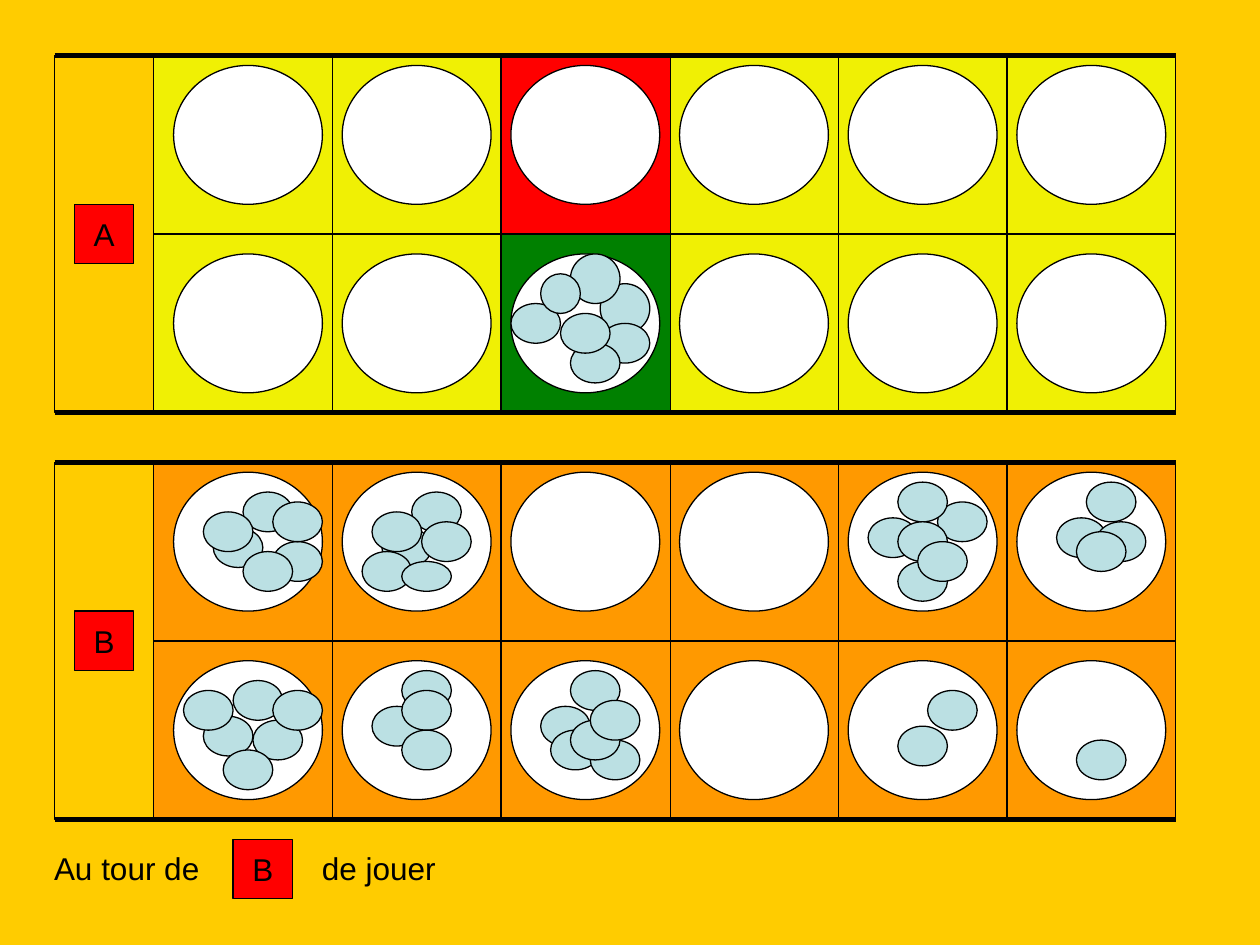
from lxml.etree import SubElement
from pptx import Presentation
from pptx.dml.color import RGBColor
from pptx.enum.shapes import MSO_CONNECTOR, MSO_SHAPE
from pptx.enum.text import MSO_ANCHOR, PP_ALIGN
from pptx.oxml.ns import qn
from pptx.util import Inches, Pt

UNIT = Inches(10) / 127
COLUMNS = [15.5, 33.5, 50.5, 67.6, 84.5, 101.5, 118.5]
LEFT, RIGHT = 5.5, COLUMNS[-1]
ROW = 18
BLACK, RED, STONE = "000000", "FF0000", "BBE0E3"


def paint(fill, colour):
    fill.solid()
    fill.fore_color.rgb = RGBColor.from_string(colour)


def write(holder, text, align=PP_ALIGN.LEFT, anchor=MSO_ANCHOR.TOP, size=18, colour=BLACK):
    frame = holder.text_frame
    frame.word_wrap = False
    frame.vertical_anchor = anchor
    paragraph = frame.paragraphs[0]
    paragraph.alignment = align
    run = paragraph.add_run()
    run.text = text
    run.font.name = "Arial"
    run.font.size = Pt(size)
    paint(run.font.fill, colour)


presentation = Presentation()
presentation.slide_width = Inches(10)
presentation.slide_height = Inches(7.5)
slide = presentation.slides.add_slide(presentation.slide_layouts[6])
paint(slide.background.fill, "FFCC00")

boards = [
    {
        "player": "A", "top": 5.6, "cell": "F0F004",
        "special": {(0, 2): RED, (1, 2): "008000"},
        "stones": {
            (1, 2): [(9, 3, 5, 5), (6, 0, 5, 5), (0, 5), (9, 7), (6, 9), (3, 2, 4, 4), (5, 6)],
        },
    },
    {
        "player": "B", "top": 46.6, "cell": "FF9900",
        "special": {},
        "stones": {
            (0, 0): [(7, 2), (4, 5.6), (10, 7), (10, 3), (3, 4), (7, 8)],
            (0, 1): [(7, 2), (4, 5.6), (2, 8), (8, 5), (6, 9, 5, 3), (3, 4)],
            (0, 4): [(9, 3), (5, 1), (2, 4.6), (5, 5), (5, 9), (7, 7)],
            (0, 5): [(7, 1), (4, 4.6), (8, 5), (6, 6)],
            (1, 0): [(6, 2), (3, 5.6), (1, 3), (8, 6), (10, 3), (5, 9)],
            (1, 1): [(6, 1), (3, 4.6), (6, 3), (6, 7)],
            (1, 2): [(6, 1), (3, 4.6), (4, 7), (8, 8), (6, 6), (8, 4)],
            (1, 4): [(8, 3), (5, 6.6)],
            (1, 5): [(6, 8)],
        },
    },
]

pieces = []
badges = [("B", 23.5, 84.6)]
rules = []
for board in boards:
    top = board["top"]
    panel_width = COLUMNS[0] - LEFT
    pieces.append((MSO_SHAPE.RECTANGLE, LEFT, top, panel_width, 2 * ROW, None))
    for row in range(2):
        for column, (start, end) in enumerate(zip(COLUMNS, COLUMNS[1:])):
            cell_colour = board["special"].get((row, column), board["cell"])
            pieces.append((MSO_SHAPE.RECTANGLE, start, top + row * ROW, end - start, ROW, cell_colour))
            hole_x, hole_y = 17.5 + 17 * column, top + 1 + 19 * row
            pieces.append((MSO_SHAPE.OVAL, hole_x, hole_y, 15, 14, "FFFFFF"))
            for x, y, *extent in board["stones"].get((row, column), []):
                width, height = extent or (5, 4)
                pieces.append((MSO_SHAPE.OVAL, hole_x + x, hole_y + y, width, height, STONE))
    badges.append((board["player"], 7.5, top + 15))
    rules += [(LEFT, top, 3), (LEFT, top + 2 * ROW, 3), (COLUMNS[0], top + ROW, 1)]

pieces += [(MSO_SHAPE.RECTANGLE, x, y, 6, 6, RED) for player, x, y in badges]

drawn = []
for kind, x, y, width, height, colour in pieces:
    piece = slide.shapes.add_shape(kind, *[round(n * UNIT) for n in (x, y, width, height)])
    piece.shadow.inherit = False
    if colour:
        paint(piece.fill, colour)
    else:
        piece.fill.background()
    paint(piece.line.fill, BLACK)
    piece.line.width = Pt(0.75)
    drawn.append(piece)

for (player, x, y), badge in zip(badges, drawn[-len(badges):]):
    write(badge, player, align=PP_ALIGN.CENTER, anchor=MSO_ANCHOR.MIDDLE)

panels = [piece for piece, source in zip(drawn, pieces) if source[-1] is None]
for index, (start, y, weight) in enumerate(rules):
    ends = [round(n * UNIT) for n in (start, y, RIGHT, y)]
    rule = slide.shapes.add_connector(MSO_CONNECTOR.STRAIGHT, *ends)
    if start == COLUMNS[0]:
        rule.begin_connect(panels[index // 3], 3)
    paint(rule.line.fill, BLACK)
    rule.line.width = Pt(weight)
    SubElement(rule._element.spPr, qn("a:effectLst"))

for text, x, width in [("Au tour de", 4.2, 18), ("de jouer", 31.2, 14)]:
    caption = slide.shapes.add_textbox(*[round(n * UNIT) for n in (x, 85, width, 5.1)])
    write(caption, text)

presentation.save("out.pptx")
